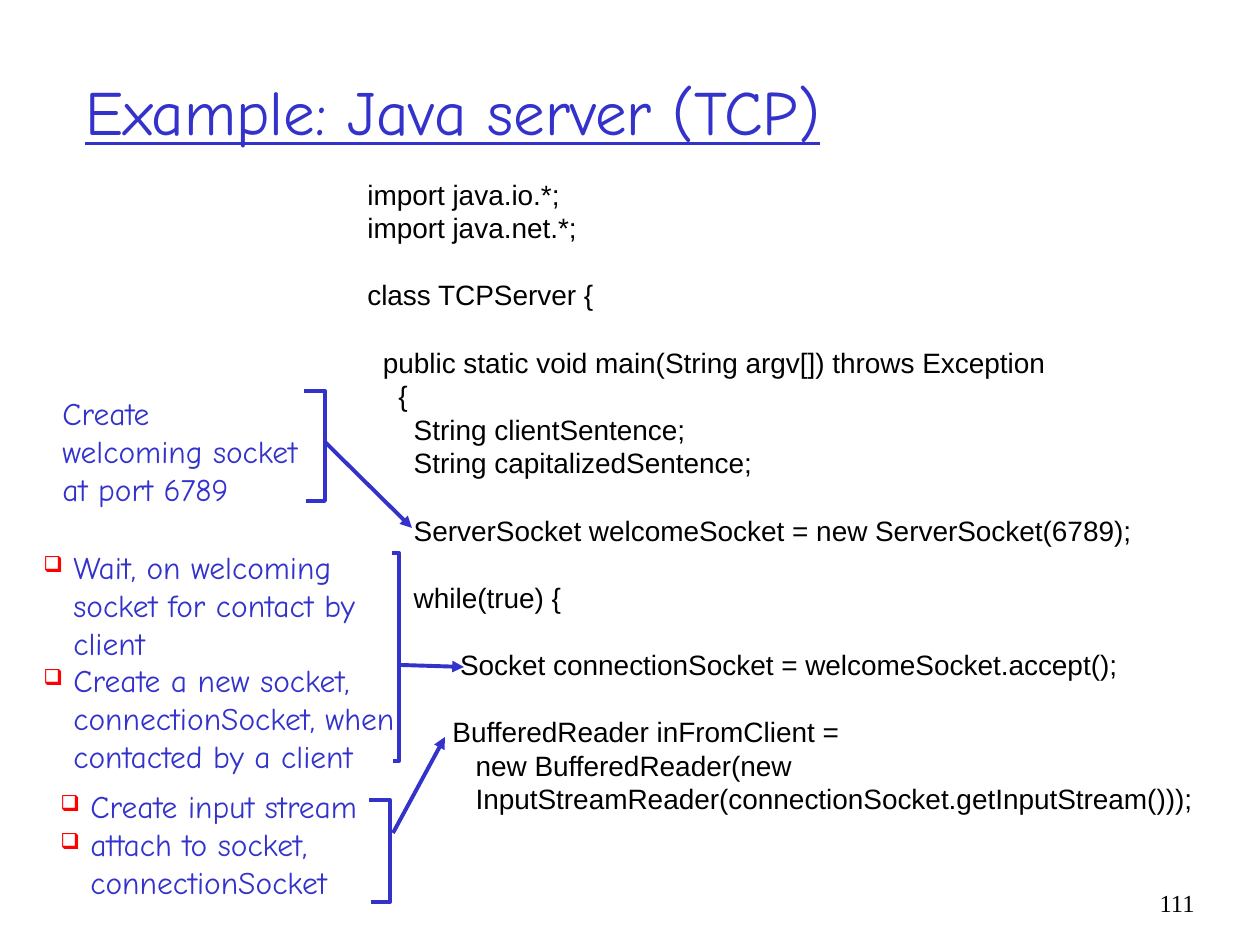
"""Build the slide on a Java TCP server with annotated code."""
from dataclasses import dataclass

from lxml.etree import SubElement
from pptx import Presentation
from pptx.dml.color import RGBColor
from pptx.enum.shapes import MSO_CONNECTOR
from pptx.enum.text import MSO_ANCHOR, PP_ALIGN
from pptx.oxml.ns import qn
from pptx.util import Emu, Pt


@dataclass(frozen=True)
class Theme:
    blue: RGBColor = RGBColor(0x33, 0x33, 0xCC)
    black: RGBColor = RGBColor(0, 0, 0)
    bullet: str = "FF0000"
    note_font: str = "Comic Neue"
    code_font: str = "Arial"
    number_font: str = "Times New Roman"
    title_size: int = 36
    note_size: int = 18
    code_size: int = 16
    number_size: int = 14
    line_width: float = 2.25
    line_spacing: float = 1.2


theme = Theme()
SCALE = 914400 / 126
BULLET_INDENT = 30


def px(value):
    return Emu(round(value * SCALE))


def add_text(text, box, size=theme.note_size, font=theme.note_font, color=theme.blue,
             anchor=MSO_ANCHOR.MIDDLE, align=PP_ALIGN.LEFT, underline=False, bullets=False):
    frame = slide.shapes.add_textbox(*map(px, box)).text_frame
    frame.word_wrap = True
    frame.vertical_anchor = anchor
    for index, line in enumerate(text.split("\n")):
        paragraph = frame.add_paragraph() if index else frame.paragraphs[0]
        paragraph.alignment = align
        paragraph.line_spacing = Pt(size * theme.line_spacing)
        if bullets:
            properties = paragraph._p.get_or_add_pPr()
            properties.set("marL", str(px(BULLET_INDENT)))
            properties.set("indent", str(-px(BULLET_INDENT)))
            bullet_color = SubElement(properties, qn("a:buClr"))
            SubElement(bullet_color, qn("a:srgbClr"), val=theme.bullet)
            SubElement(properties, qn("a:buSzPct"), val="70000")
            SubElement(properties, qn("a:buChar"), char="❑")
        paragraph.font.size = Pt(size)
        if line:
            run = paragraph.add_run()
            run.text = line
            run.font.size = Pt(size)
            run.font.name = font
            run.font.color.rgb = color
            run.font.underline = underline


presentation = Presentation()
presentation.slide_width = px(1260)
presentation.slide_height = px(945)
slide = presentation.slides.add_slide(presentation.slide_layouts[6])

add_text("Example: Java server (TCP)", (73, 31, 1071, 158),
         size=theme.title_size, underline=True)

code = """import java.io.*;
import java.net.*;

class TCPServer {

  public static void main(String argv[]) throws Exception
    {
      String clientSentence;
      String capitalizedSentence;

      ServerSocket welcomeSocket = new ServerSocket(6789);

      while(true) {

            Socket connectionSocket = welcomeSocket.accept();

           BufferedReader inFromClient =
              new BufferedReader(new
              InputStreamReader(connectionSocket.getInputStream()));"""
add_text(code, (355, 171, 870, 651), size=theme.code_size, font=theme.code_font,
         color=theme.black, anchor=MSO_ANCHOR.TOP)

notes = [
    ("Create\nwelcoming socket\nat port 6789", (50, 388, 261, 126), False),
    ("Wait, on welcoming socket for contact by client\n"
     "Create a new socket, connectionSocket, when contacted by a client",
     (31, 542, 378, 239), True),
    ("Create input stream\nattach to socket, connectionSocket", (48, 781, 353, 126), True),
]
for text, box, bullets in notes:
    add_text(text, box, bullets=bullets)

brackets = [
    ((304, 391), (325, 501), 306, (325, 442, 412, 528)),
    ((392, 553), (399, 761), 393, (401, 665, 464, 667)),
    ((369, 800), (390, 902), 371, (393, 833, 445, 737)),
]
for (left, top), (right, bottom), lower_left, arrow_ends in brackets:
    builder = slide.shapes.build_freeform(left, top, scale=SCALE)
    builder.add_line_segments([(right, top), (right, bottom), (lower_left, bottom)], close=False)
    bracket = builder.convert_to_shape()
    bracket.shadow.inherit = False
    bracket.fill.background()
    arrow = slide.shapes.add_connector(MSO_CONNECTOR.STRAIGHT, *map(px, arrow_ends))
    for shape in (bracket, arrow):
        shape.line.color.rgb = theme.blue
        shape.line.width = Pt(theme.line_width)
    SubElement(arrow.line._get_or_add_ln(), qn("a:tailEnd"), type="triangle")
    SubElement(arrow._element.spPr, qn("a:effectLst"))

add_text("111", (1144, 882, 63, 63), size=theme.number_size, font=theme.number_font,
         color=theme.black, anchor=MSO_ANCHOR.TOP, align=PP_ALIGN.RIGHT)

presentation.save("out.pptx")
